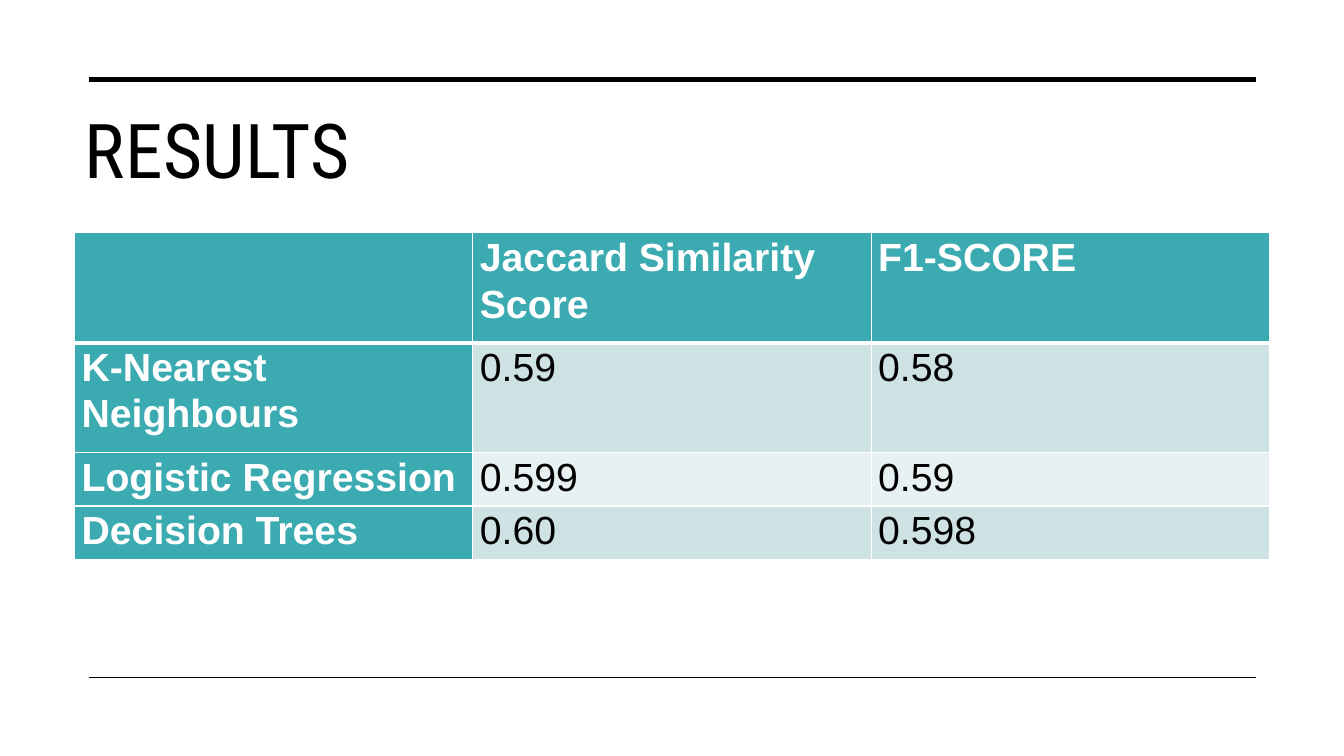
from pptx import Presentation
from pptx.dml.color import RGBColor
from pptx.enum.shapes import MSO_CONNECTOR as Link
from pptx.enum.text import MSO_ANCHOR as Anchor, MSO_AUTO_SIZE as Fit, PP_ALIGN as Align
from pptx.oxml.ns import qn
from pptx.util import Inches, Pt
from lxml.etree import SubElement as Sub

BLACK = RGBColor(0x00, 0x00, 0x00)
WHITE = RGBColor(0xFF, 0xFF, 0xFF)
TEAL = RGBColor(0x3B, 0xAB, 0xB1)
MIST = RGBColor(0xCE, 0xE2, 0xE4)
PALE = RGBColor(0xE8, 0xF1, 0xF2)

TITLE = "RESULTS"
SCORES = [
    ("", "Jaccard Similarity Score", "F1-SCORE"),
    ("K-Nearest Neighbours", "0.59", "0.58"),
    ("Logistic Regression", "0.599", "0.59"),
    ("Decision Trees", "0.60", "0.598"),
]
RULES = [(0.79, 3.5), (6.72, 1)]
HIGHS = [1.09, 1.09, 0.53, 0.53]
WIDE = 3.95


def write(frame, text, size=28, font="Arial", color=BLACK, bold=False, gap=1.0, track=0):
    para = frame.paragraphs[0]
    para.alignment = Align.LEFT
    para.line_spacing = gap
    run = para.add_run()
    run.text = text
    run.font.size = Pt(size)
    run.font.name = font
    run.font.bold = bold
    run.font.color.rgb = color
    if track:
        run.font._element.set("spc", str(track))


def edge(cell, **sides):
    props = cell._tc.get_or_add_tcPr()
    for side, width in sides.items():
        line = Sub(props, qn(f"a:ln{side}"), w=str(Pt(width)))
        Sub(Sub(line, qn("a:solidFill")), qn("a:srgbClr"), val=str(WHITE))


def rule(slide, y, width):
    line = slide.shapes.add_connector(
        Link.STRAIGHT, Inches(0.88), Inches(y), Inches(12.46), Inches(y))
    line.line.color.rgb = BLACK
    line.line.width = Pt(width)
    Sub(line._element.spPr, qn("a:effectLst"))


def head(slide):
    title = slide.shapes.title
    title.left, title.top = Inches(0.74), Inches(0.97)
    title.width, title.height = Inches(10.92), Inches(3.94)
    frame = title.text_frame
    frame.auto_size = Fit.NONE
    frame.vertical_anchor = Anchor.TOP
    write(frame, TITLE, size=54, font="Roboto Condensed", track=30)


def grid(slide):
    rows, cols = len(SCORES), len(SCORES[0])
    table = slide.shapes.add_table(
        rows, cols, Inches(0.74), Inches(2.31),
        Inches(WIDE * cols), Inches(sum(HIGHS))).table
    for col in table.columns:
        col.width = Inches(WIDE)
    for r, (row, high) in enumerate(zip(SCORES, HIGHS)):
        table.rows[r].height = Inches(high)
        for c, text in enumerate(row):
            cell = table.cell(r, c)
            key = r == 0 or c == 0
            edge(cell, L=1, R=1, T=3 if r == 1 else 1, B=3 if r == 0 else 1)
            cell.fill.solid()
            cell.fill.fore_color.rgb = TEAL if key else MIST if r % 2 else PALE
            cell.margin_left = cell.margin_right = Inches(0.07)
            cell.margin_top = cell.margin_bottom = 0
            if text:
                write(cell.text_frame, text, color=WHITE if key else BLACK,
                      bold=key, gap=1.07)


def main():
    deck = Presentation()
    deck.slide_width, deck.slide_height = Inches(13.33), Inches(7.5)
    slide = deck.slides.add_slide(deck.slide_layouts[5])
    for y, width in RULES:
        rule(slide, y, width)
    head(slide)
    grid(slide)
    deck.save("out.pptx")


if __name__ == "__main__":
    main()
